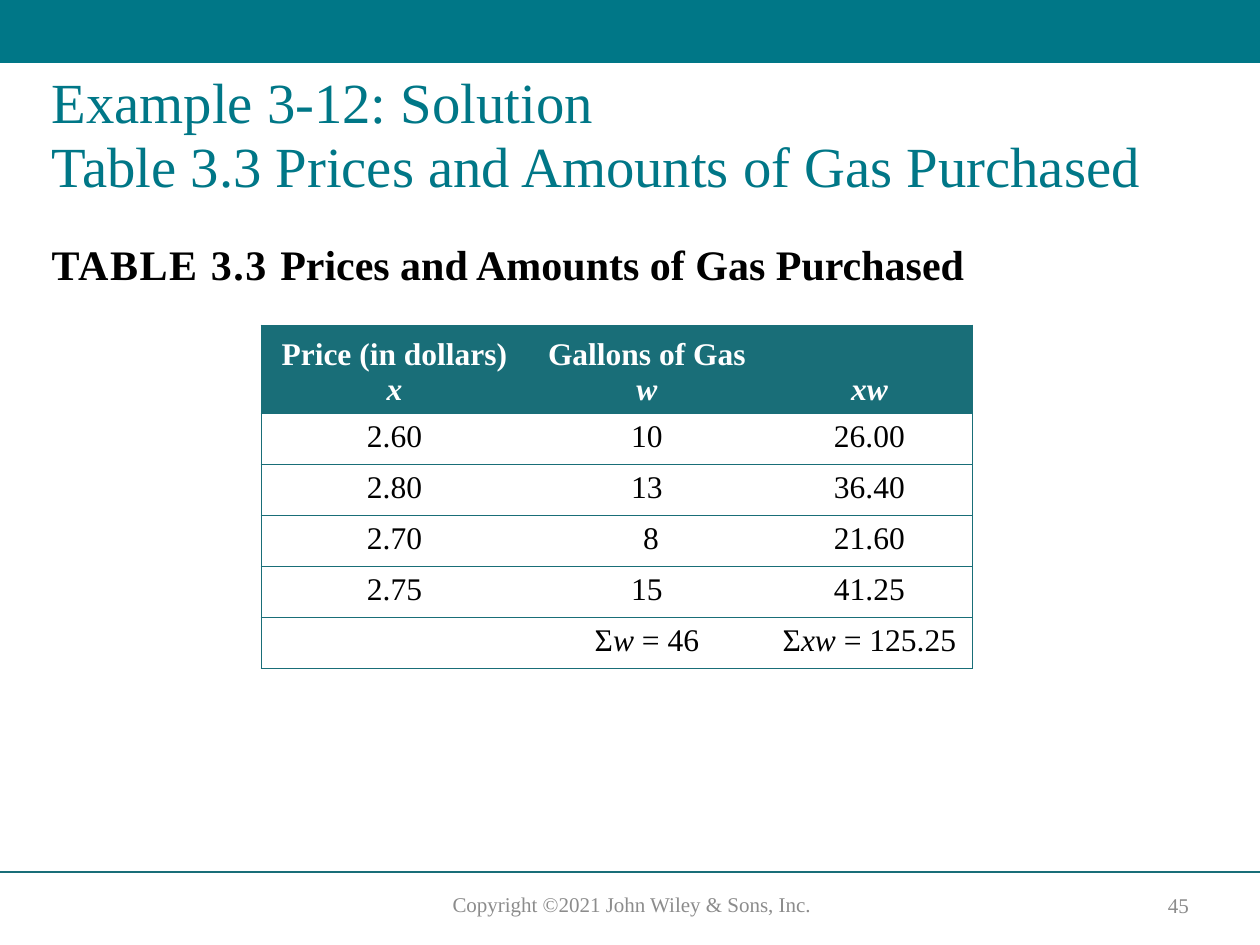
from lxml import etree
from pptx import Presentation
from pptx.dml.color import RGBColor
from pptx.enum import shapes, text
from pptx.oxml.ns import qn
from pptx.util import Pt

PX = 914400 // 126
FONT = "Times New Roman"
COLORS = {"band": "007787", "table": "196E78", "ink": "000000",
          "paper": "FFFFFF", "footer": "8C8C8C"}

HEADERS = ["Price (in dollars)\v*x*", "Gallons of Gas\v*w*", "*xw*"]
ROWS = [
    ["2.60", "10", "26.00"],
    ["2.80", "13", "36.40"],
    ["2.70", " 8", "21.60"],  # en space lines up the units digit
    ["2.75", "15", "41.25"],
    ["", "Σ*w* = 46", "Σ*xw* = 125.25"],
]
COLUMN_WIDTHS = [267, 238, 207]
HEADER_HEIGHT, ROW_HEIGHT = 83, 51


def px(*lengths):
    return [length * PX for length in lengths]


def rgb(name):
    return RGBColor.from_string(COLORS[name])


def style_runs(paragraph, size, color, bold=False):
    for run in paragraph.runs:
        run.font.name, run.font.size, run.font.bold = FONT, Pt(size), bold
        run.font.color.rgb = rgb(color)
    for line_break in paragraph._p.findall(qn("a:br")):
        etree.SubElement(line_break, qn("a:rPr"), sz=str(round(size * 100)))


def place(shape, box):
    shape.left, shape.top, shape.width, shape.height = px(*box)


def add_band(slide, box):
    band = slide.shapes.add_shape(shapes.MSO_SHAPE.RECTANGLE, *px(*box))
    band.shadow.inherit = False
    band.fill.solid()
    band.fill.fore_color.rgb = rgb("band")
    band.line.fill.background()


def add_footer(slide, box):
    left, top, width, _ = box
    rule = slide.shapes.add_connector(
        shapes.MSO_CONNECTOR.STRAIGHT, *px(left, top, left + width, top))
    rule.line.color.rgb = rgb("table")
    rule.line.width = Pt(1)
    etree.SubElement(rule._element.spPr, qn("a:effectLst"))

    # Copyright line and page number
    for label, x, y, label_width, height in [
            ("Copyright ©2021 John Wiley & Sons, Inc.", 406, 13, 452, 38),
            ("45", 1140, 15, 77, 36)]:
        frame = slide.shapes.add_textbox(
            *px(left + x, top + y, label_width, height)).text_frame
        frame.word_wrap = True
        frame.vertical_anchor = text.MSO_ANCHOR.MIDDLE
        frame.text = label
        frame.paragraphs[0].alignment = text.PP_ALIGN.CENTER
        style_runs(frame.paragraphs[0], 12, "footer")


def set_title(title, box):
    place(title, box)
    frame = title.text_frame
    frame.auto_size = text.MSO_AUTO_SIZE.NONE
    frame.vertical_anchor = text.MSO_ANCHOR.TOP
    frame.margin_top = 9 * PX
    heading = frame.paragraphs[0]
    heading.text = ("Example 3-12: Solution\v"
                    "Table 3.3 Prices and Amounts of Gas Purchased")
    heading.alignment = text.PP_ALIGN.LEFT
    heading.line_spacing = 0.94
    style_runs(heading, 32.4, "band")


def set_caption(body, box):
    place(body, box)
    frame = body.text_frame
    frame.auto_size = text.MSO_AUTO_SIZE.NONE
    frame.vertical_anchor = text.MSO_ANCHOR.MIDDLE
    caption = frame.paragraphs[0]
    properties = caption._p.get_or_add_pPr()
    properties.set("marL", str(10 * PX))
    properties.set("indent", "0")
    etree.SubElement(properties, qn("a:buNone"))
    caption.space_before = Pt(0)
    for part in ("TABLE 3.3 ", "Prices and Amounts of Gas Purchased"):
        caption.add_run().text = part
    style_runs(caption, 24, "ink", bold=True)
    caption.runs[0].font._element.set("spc", "90")


def set_borders(cell, sides):
    properties = cell._tc.get_or_add_tcPr()
    for side in "LRTB":
        line = etree.SubElement(properties, qn(f"a:ln{side}"), w=str(Pt(0.5)))
        if side in sides:
            fill = etree.SubElement(line, qn("a:solidFill"))
            etree.SubElement(fill, qn("a:srgbClr"), val=COLORS["table"])
        else:
            etree.SubElement(line, qn("a:noFill"))


def write_marked(paragraph, marked):
    """Parts between asterisks are italic; a vertical tab breaks the line."""
    for index, part in enumerate(marked.split("*")):
        if part:
            run = paragraph.add_run()
            run.text = part.rstrip("\v")
            run.font.italic = index % 2 == 1
            if part.endswith("\v"):
                paragraph.add_line_break()


def add_price_table(slide, left, top):
    rows = [HEADERS] + ROWS
    heights = [HEADER_HEIGHT] + [ROW_HEIGHT] * len(ROWS)
    table = slide.shapes.add_table(
        len(rows), len(HEADERS),
        *px(left, top, sum(COLUMN_WIDTHS), sum(heights))).table
    table.horz_banding = False
    for column, width in zip(table.columns, COLUMN_WIDTHS):
        column.width = width * PX
    for r, (values, height) in enumerate(zip(rows, heights)):
        table.rows[r].height = height * PX
        is_header = r == 0
        for c, value in enumerate(values):
            cell = table.cell(r, c)
            outer = {0: "L", len(values) - 1: "R"}.get(c, "")
            set_borders(cell, "TB" + outer)
            cell.fill.solid()
            cell.fill.fore_color.rgb = rgb("table" if is_header else "paper")
            if is_header:
                cell.vertical_anchor = text.MSO_ANCHOR.BOTTOM
            entry = cell.text_frame.paragraphs[0]
            entry.alignment = text.PP_ALIGN.CENTER
            write_marked(entry, value)
            style_runs(entry, 18, "paper" if is_header else "ink", is_header)


def main():
    deck = Presentation()
    deck.slide_width, deck.slide_height = px(1260, 945)
    slide = deck.slides.add_slide(deck.slide_layouts[1])
    add_band(slide, (0, 0, 1260, 63))
    add_footer(slide, (0, 872, 1260, 73))
    set_title(slide.shapes.title, (39, 63, 1176, 157))
    set_caption(slide.placeholders[1], (29, 228, 1176, 72))
    add_price_table(slide, 261, 325)
    deck.save("out.pptx")


if __name__ == "__main__":
    main()
